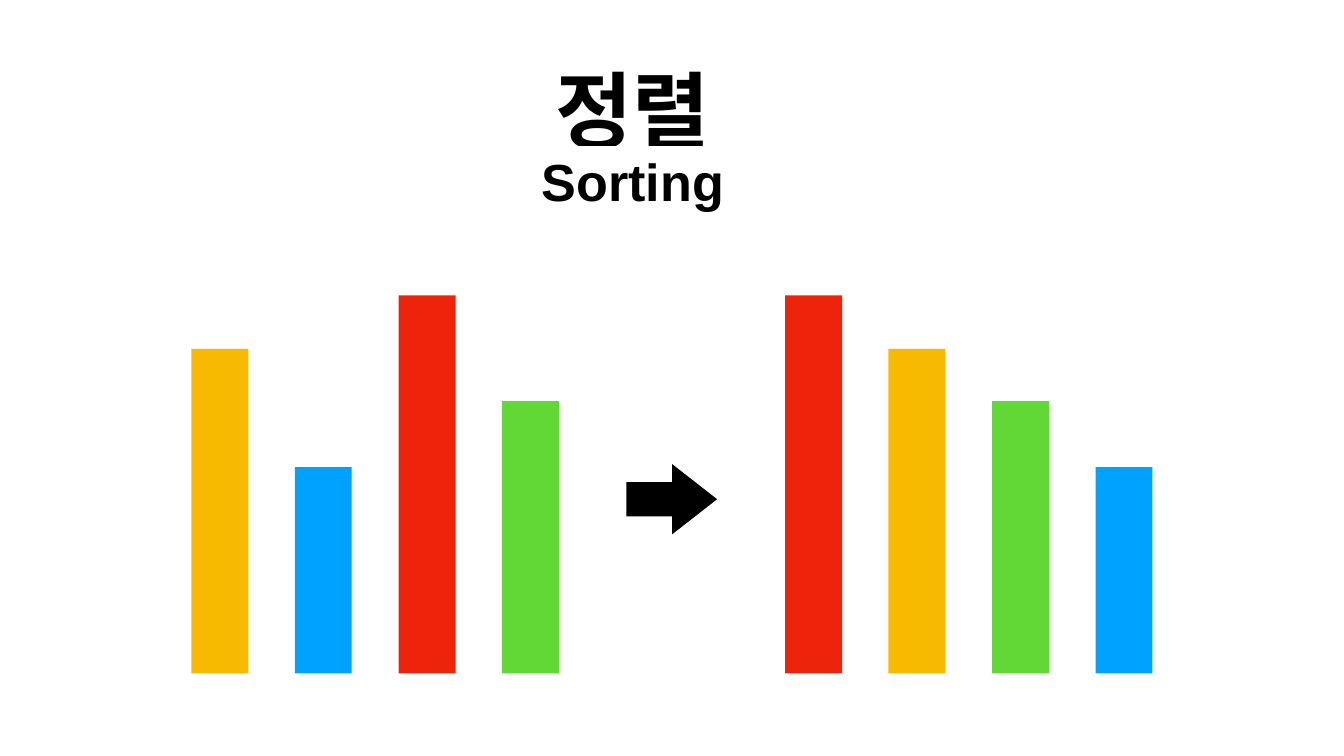
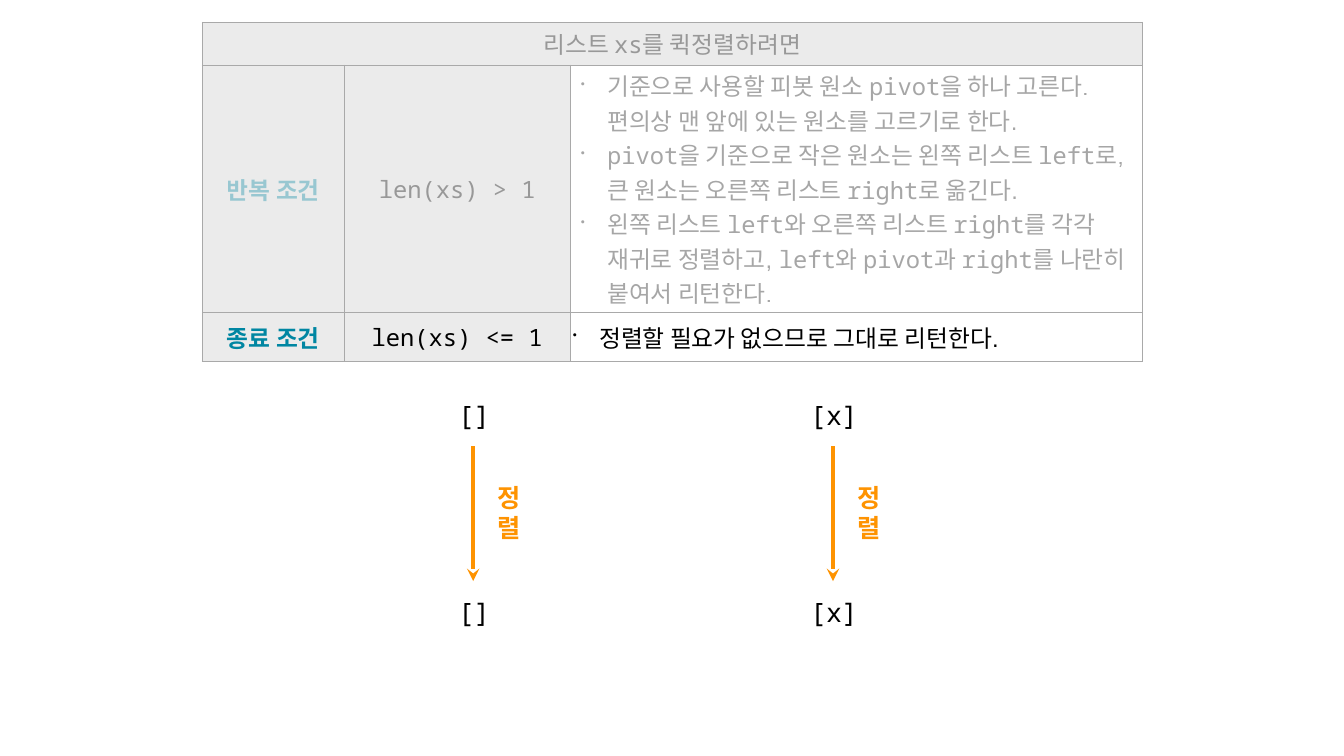
from dataclasses import dataclass

from lxml import etree
from pptx import Presentation
from pptx.dml.color import RGBColor
from pptx.enum.shapes import MSO_CONNECTOR, MSO_SHAPE
from pptx.enum.text import MSO_ANCHOR, MSO_AUTO_SIZE, PP_ALIGN
from pptx.oxml.ns import qn
from pptx.util import Emu, Pt

RECTANGLE = MSO_SHAPE.RECTANGLE
RIGHT_ARROW = MSO_SHAPE.RIGHT_ARROW
STRAIGHT = MSO_CONNECTOR.STRAIGHT
MIDDLE, BOTTOM = MSO_ANCHOR.MIDDLE, MSO_ANCHOR.BOTTOM
LEFT, CENTER = PP_ALIGN.LEFT, PP_ALIGN.CENTER
NO_AUTOFIT = MSO_AUTO_SIZE.NONE
EMU_PER_PX = 9144
TITLE_ONLY, BLANK = 5, 6


@dataclass(frozen=True)
class Theme:
    black: str = "000000"
    white: str = "FFFFFF"
    yellow: str = "F7BA01"
    blue: str = "00A2FF"
    red: str = "EE230C"
    green: str = "61D836"
    orange: str = "FE9301"
    teal: str = "0086A2"
    cell: str = "EBEBEB"
    border: str = "A9A9A9"
    sans: str = "Arial"
    header: str = "Courier New"
    mono: str = "Noto Sans Mono"
    title_size: float = 120
    subtitle_size: float = 74.5
    list_size: float = 38
    label_size: float = 36
    table_size: float = 34
    faded: int = 34
    half_filled: int = 65


THEME = Theme()

BARS = [
    (THEME.yellow, 644),
    (THEME.blue, 409),
    (THEME.red, 750),
    (THEME.green, 540),
]
BAR_WIDTH, BAR_FLOOR, BAR_SPREAD = 113, 1336, 616

COLUMN_WIDTHS = [283, 447, 1136]
ROW_HEIGHTS = [85, 443, 97]
HEADING = "리스트 `xs`를 퀵정렬하려면"
REPEAT_STEPS = [
    "기준으로 사용할 피봇 원소 `pivot`을 하나 고른다. 편의상 맨 앞에 있는 원소를 고르기로 한다.",
    "`pivot`을 기준으로 작은 원소는 왼쪽 리스트 `left`로, 큰 원소는 오른쪽 리스트 `right`로 옮긴다.",
    "왼쪽 리스트 `left`와 오른쪽 리스트 `right`를 각각 재귀로 정렬하고, `left`와 `pivot과 right`를 나란히 붙여서 리턴한다.",
]
STOP_STEPS = ["정렬할 필요가 없으므로 그대로 리턴한다."]


def px(length):
    return Emu(length * EMU_PER_PX)


def place(left, top, width, height):
    return px(left), px(top), px(width), px(height)


def set_alpha(fill, percent):
    if percent < 100:
        color = fill._xPr.find(".//" + qn("a:srgbClr"))
        etree.SubElement(color, qn("a:alpha"), val=str(percent * 1000))


def paint(fill, color, alpha=100):
    fill.solid()
    fill.fore_color.rgb = RGBColor.from_string(color)
    set_alpha(fill, alpha)


def style_font(font, size, color, name=THEME.sans, bold=False, alpha=100):
    font.size = Pt(size)
    font.name = name
    font.bold = bold
    paint(font.fill, color, alpha)


def set_frame(frame, anchor, inset, wrap=True):
    frame.auto_size = NO_AUTOFIT
    frame.word_wrap = wrap
    frame.vertical_anchor = anchor
    frame.margin_left = frame.margin_right = px(inset)
    frame.margin_top = frame.margin_bottom = px(inset)


def write_heading(shape, text, size):
    paint(shape.fill, THEME.white)
    set_frame(shape.text_frame, BOTTOM, 6)
    shape.text_frame.text = text
    para = shape.text_frame.paragraphs[0]
    para.alignment = CENTER
    style_font(para.runs[0].font, size, THEME.black, bold=True)


def add_filled_shape(shapes, kind, area, color):
    shape = shapes.add_shape(kind, *place(*area))
    shape.shadow.inherit = False
    shape.line.fill.background()
    paint(shape.fill, color)
    return shape


def add_bars(shapes, left, bars):
    for index, (color, height) in enumerate(bars):
        bar_left = left + round(index * BAR_SPREAD / (len(bars) - 1))
        area = (bar_left, BAR_FLOOR - height, BAR_WIDTH, height)
        add_filled_shape(shapes, RECTANGLE, area, color)


def add_label(page, area, text, size, color, name, bold=False, wrap=False):
    box = page.shapes.add_textbox(*place(*area))
    set_frame(box.text_frame, MIDDLE, 8, wrap)
    box.text_frame.text = text
    para = box.text_frame.paragraphs[0]
    para.alignment = CENTER
    style_font(para.runs[0].font, size, color, name, bold)


def add_arrow(page, x, top, bottom):
    arrow = page.shapes.add_connector(STRAIGHT, px(x), px(top), px(x), px(bottom))
    arrow.line.width = Pt(6)
    paint(arrow.line.fill, THEME.orange)
    etree.SubElement(arrow.line._get_or_add_ln(), qn("a:tailEnd"), type="stealth")
    etree.SubElement(arrow._element.spPr, qn("a:effectLst"))


def add_sort_example(page, axis, value):
    for top in (784, 1176):
        add_label(page, (axis - 54, top, 112, 78), value,
                  THEME.list_size, THEME.black, THEME.mono)
    add_arrow(page, axis, 885, 1153)
    add_label(page, (axis + 36, 949, 70, 136), "정렬", THEME.label_size,
              THEME.orange, THEME.sans, bold=True, wrap=True)


def add_bullet(para, indent):
    properties = para._p.get_or_add_pPr()
    properties.set("marL", str(px(indent)))
    properties.set("indent", str(px(-52)))
    properties.set("hangingPunct", "0")
    etree.SubElement(properties, qn("a:buSzPct"), val="50000")
    etree.SubElement(properties, qn("a:buChar"), char="•")


def set_borders(cell):
    properties = cell._tc.get_or_add_tcPr()
    for side in ("lnL", "lnR", "lnT", "lnB"):
        line = etree.SubElement(properties, qn("a:" + side), w=str(Pt(1)))
        solid = etree.SubElement(line, qn("a:solidFill"))
        etree.SubElement(solid, qn("a:srgbClr"), val=THEME.border)


def write_cell(cell, lines, color=THEME.black, alpha=100, name=THEME.sans,
               bold=False, indent=None):
    cell.vertical_anchor = MIDDLE
    cell.margin_left = cell.margin_top = cell.margin_bottom = px(6)
    cell.margin_right = px(6 if indent is None else 16)
    frame = cell.text_frame
    for index, line in enumerate(lines):
        para = frame.add_paragraph() if index else frame.paragraphs[0]
        para.alignment = CENTER if indent is None else LEFT
        if indent is not None:
            add_bullet(para, indent)
        for part, text in enumerate(line.split("`")):
            if text:
                span = para.add_run()
                span.text = text
                font_name = THEME.mono if part % 2 else name
                style_font(span.font, THEME.table_size, color, font_name, bold, alpha)


def add_rules_table(page):
    area = place(401, 44, sum(COLUMN_WIDTHS), sum(ROW_HEIGHTS))
    table = page.shapes.add_table(len(ROW_HEIGHTS), len(COLUMN_WIDTHS), *area).table
    table.first_row = table.horz_banding = False
    for column, width in zip(table.columns, COLUMN_WIDTHS):
        column.width = px(width)
    for row, height in zip(table.rows, ROW_HEIGHTS):
        row.height = px(height)
    for row_index in range(len(ROW_HEIGHTS)):
        for column_index in range(len(COLUMN_WIDTHS)):
            cell = table.cell(row_index, column_index)
            set_borders(cell)
            if row_index and column_index == 2:
                cell.fill.background()
            else:
                half = (row_index, column_index) == (2, 0)
                paint(cell.fill, THEME.cell, THEME.half_filled if half else 100)

    table.cell(0, 0).merge(table.cell(0, 2))
    write_cell(table.cell(0, 0), [HEADING], alpha=THEME.faded, name=THEME.header)
    rules = [
        ("반복 조건", "`len(xs) > 1`", REPEAT_STEPS, THEME.faded, 68),
        ("종료 조건", "`len(xs) <= 1`", STOP_STEPS, 100, 52),
    ]
    for row_index, (name, condition, steps, alpha, indent) in enumerate(rules, 1):
        write_cell(table.cell(row_index, 0), [name], THEME.teal, alpha, bold=True)
        write_cell(table.cell(row_index, 1), [condition], alpha=alpha)
        write_cell(table.cell(row_index, 2), steps, alpha=alpha, indent=indent)


def build_sorting_page(deck):
    page = deck.slides.add_slide(deck.slide_layouts[TITLE_ONLY])
    title = page.shapes.title
    title.left, title.top, title.width, title.height = place(946, 107, 620, 216)
    write_heading(title, "정렬", THEME.title_size)
    subtitle = add_filled_shape(page.shapes, RECTANGLE, (1023, 290, 466, 136), THEME.white)
    write_heading(subtitle, "Sorting", THEME.subtitle_size)

    add_bars(page.shapes, 380, BARS)
    arrow = add_filled_shape(page.shapes, RIGHT_ARROW, (1243, 921, 180, 139), THEME.black)
    arrow.adjustments[0] = 0.49
    arrow.adjustments[1] = 0.64
    sorted_bars = sorted(BARS, key=lambda bar: bar[1], reverse=True)
    add_bars(page.shapes.add_group_shape().shapes, 1558, sorted_bars)


def build_quicksort_page(deck):
    page = deck.slides.add_slide(deck.slide_layouts[BLANK])
    add_rules_table(page)
    for axis, value in ((939, "[]"), (1653, "[x]")):
        add_sort_example(page, axis, value)


def main():
    deck = Presentation()
    deck.slide_width, deck.slide_height = px(2667), px(1500)
    build_sorting_page(deck)
    build_quicksort_page(deck)
    deck.save("out.pptx")


if __name__ == "__main__":
    main()
